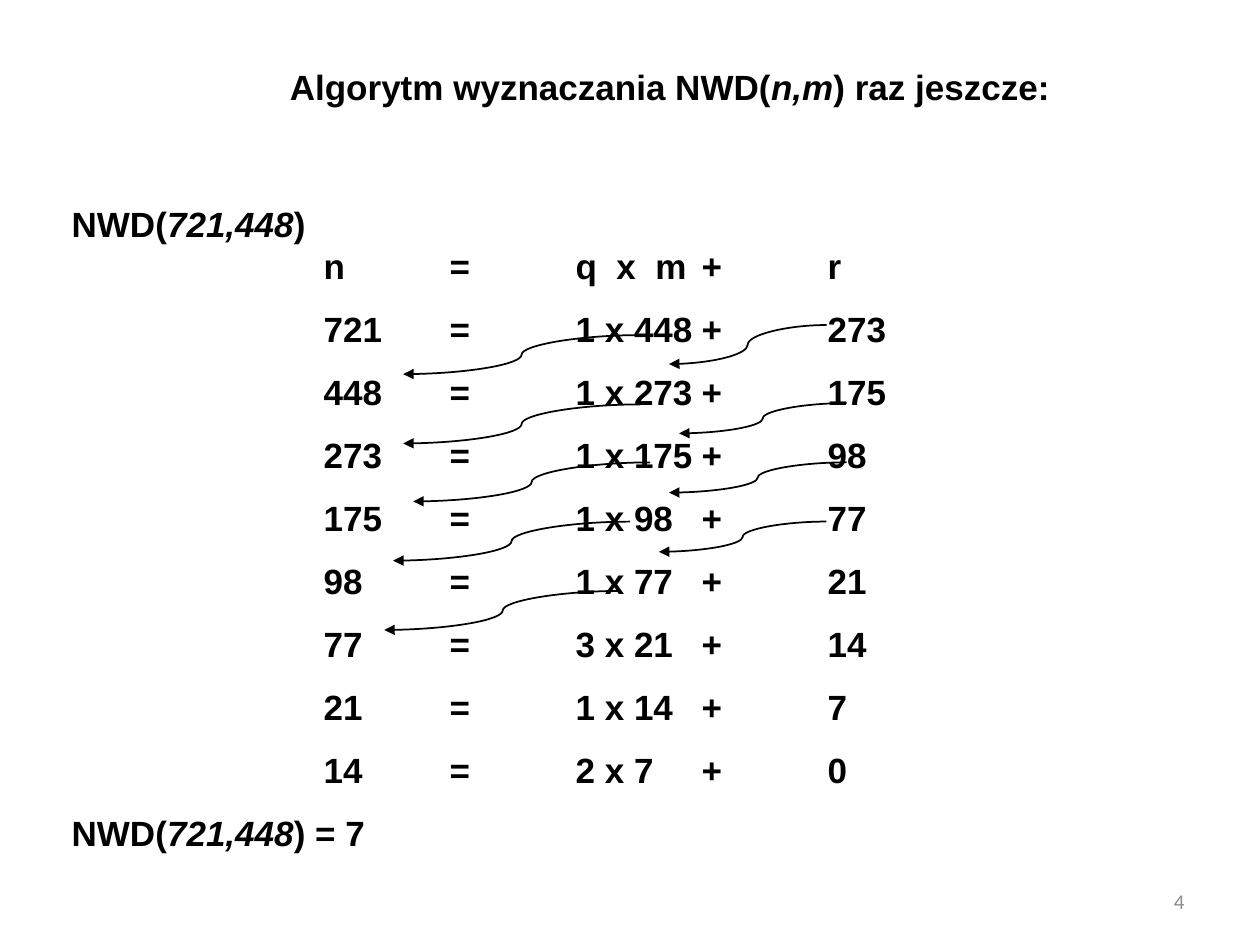
import pptx
import pptx.util
import pptx.dml.color
import pptx.enum.shapes
import pptx.enum.text
import pptx.oxml.ns
import lxml.etree

Inches = pptx.util.Inches
ALIGN = pptx.enum.text.PP_ALIGN
ANCHOR = pptx.enum.text.MSO_ANCHOR
qn = pptx.oxml.ns.qn

BOLD = {"name": "Arial", "size": pptx.util.Pt(20), "bold": True}
SMALL = {"name": "Calibri", "size": pptx.util.Pt(12)}

title = [("Algorytm wyznaczania NWD(", False), ("n,m", True), (") raz jeszcze: ", False)]
call = [("NWD(", False), ("721,448", True), (")", False)]
result = call[:2] + [(") = 7", False)]
header = ("n", "q  x  m", "r")
divisions = [
    (721, "1 x 448", 273),
    (448, "1 x 273", 175),
    (273, "1 x 175", 98),
    (175, "1 x 98", 77),
    (98, "1 x 77", 21),
    (77, "3 x 21", 14),
    (21, "1 x 14", 7),
    (14, "2 x 7", 0),
]
tab_stops = range(1, 7)
divisor_moves = [(3.2, 2.97), (3.2, 3.52), (3.28, 3.98), (3.12, 4.45), (3.05, 5)]
divisor_span = (1.88, 0.31)
remainder_moves = [
    (5.31, 2.89, 6.56, 2.58),
    (5.39, 3.44, 6.72, 3.2),
    (5.31, 3.91, 6.72, 3.67),
    (5.23, 4.38, 6.56, 4.14),
]


def color(value):
    return pptx.dml.color.RGBColor.from_string(value)


def equation(n, product, r):
    return [(f"\t\t{n}\t=\t{product}\t+\t{r}", False)]


def set_tabs(paragraph, stops):
    tabs = lxml.etree.SubElement(paragraph._p.get_or_add_pPr(), qn("a:tabLst"))
    for stop in stops:
        lxml.etree.SubElement(tabs, qn("a:tab"), pos=str(Inches(stop)), algn="l")


def add_text(slide, box, paragraphs, font, ink, align, anchor):
    frame = slide.shapes.add_textbox(*map(Inches, box)).text_frame
    frame.word_wrap = True
    frame.vertical_anchor = anchor
    for index, (pieces, spacing) in enumerate(paragraphs):
        paragraph = frame.paragraphs[0] if index == 0 else frame.add_paragraph()
        paragraph.alignment = align
        paragraph.line_spacing = spacing
        if "\t" in pieces[0][0]:
            set_tabs(paragraph, tab_stops)
        for words, italic in pieces:
            run = paragraph.add_run()
            run.text = words
            for key, value in {**font, "italic": italic}.items():
                setattr(run.font, key, value)
            run.font.color.rgb = color(ink)


def add_move(slide, ends):
    move = slide.shapes.add_connector(
        pptx.enum.shapes.MSO_CONNECTOR.CURVE, *map(Inches, ends))
    move.line.color.rgb = color("000000")
    move.line.width = pptx.util.Pt(1)
    line = move.line._get_or_add_ln()
    lxml.etree.SubElement(line, qn("a:headEnd"), type="triangle")
    lxml.etree.SubElement(move._element.spPr, qn("a:effectLst"))


def main():
    deck = pptx.Presentation()
    deck.slide_width, deck.slide_height = Inches(10), Inches(7.5)
    slide = deck.slides.add_slide(deck.slide_layouts[6])

    add_text(slide, (0.94, 0.47, 8.83, 0.94), [(title, 1)], BOLD, "000000",
             ALIGN.CENTER, ANCHOR.TOP)
    steps = [(call, 1), (equation(*header), 1)]
    steps += [(equation(*division), 1.5) for division in divisions]
    steps.append((result, 1.5))
    add_text(slide, (0.47, 1.56, 8.52, 5.26), steps, BOLD, "000000",
             ALIGN.JUSTIFY, ANCHOR.MIDDLE)

    width, rise = divisor_span
    for x, y in divisor_moves:
        add_move(slide, (x, y, x + width, y - rise))
    for ends in remainder_moves:
        add_move(slide, ends)

    add_text(slide, (7.17, 6.95, 2.33, 0.4), [([("4", False)], 1)], SMALL, "8C8C8C",
             ALIGN.RIGHT, ANCHOR.MIDDLE)
    deck.save("out.pptx")


if __name__ == "__main__":
    main()
